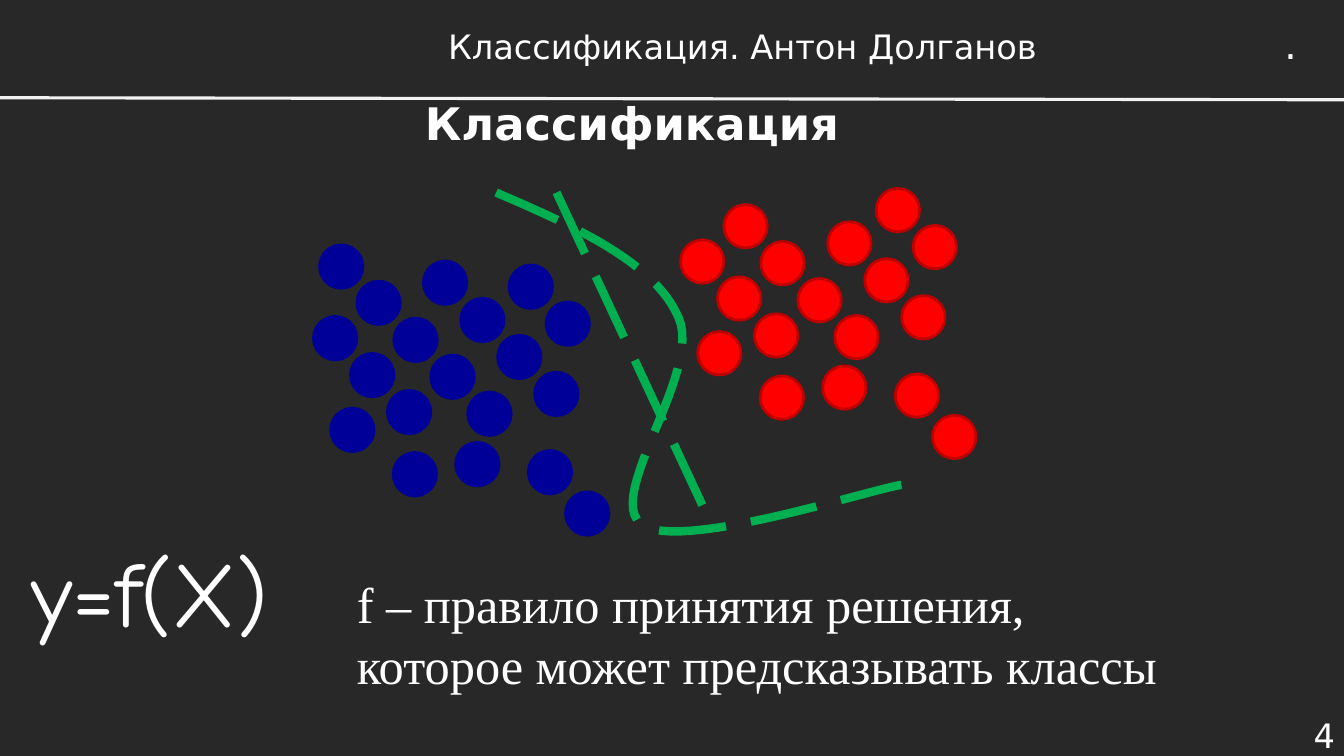
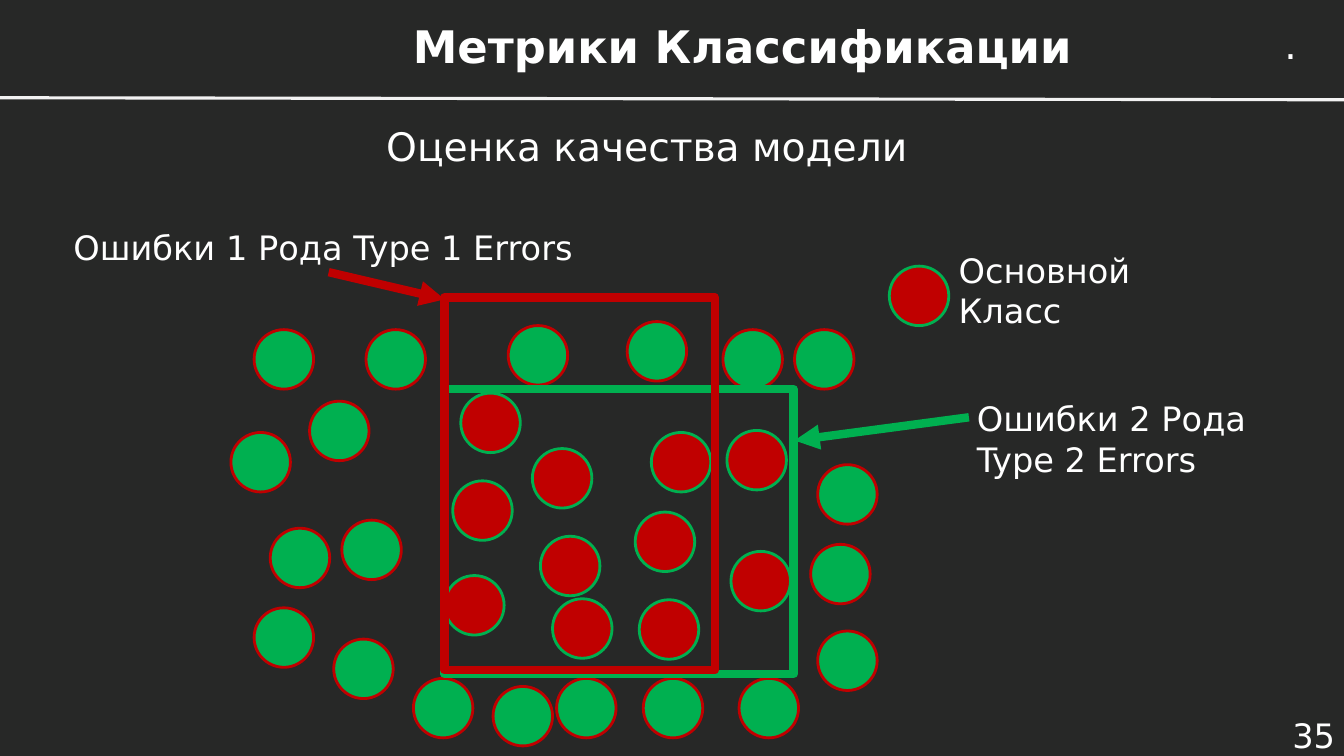
import pptx
import pptx.dml.color
import pptx.enum.dml
import pptx.enum.shapes
import pptx.enum.text
import pptx.oxml.ns
import pptx.util
from lxml import etree

RGBColor = pptx.dml.color.RGBColor
ALIGN = pptx.enum.text.PP_ALIGN
ANCHOR = pptx.enum.text.MSO_ANCHOR
SHAPES = pptx.enum.shapes.MSO_SHAPE
qn = pptx.oxml.ns.qn

BACKGROUND = RGBColor(0x27, 0x28, 0x27)
WHITE = RGBColor(0xFF, 0xFF, 0xFF)
RULE = RGBColor(0xF2, 0xF2, 0xF2)
GREEN = RGBColor(0x00, 0xB0, 0x50)
DARK_RED = RGBColor(0xC0, 0x00, 0x00)
RED = RGBColor(0xFF, 0x00, 0x00)
BLUE = RGBColor(0x00, 0x00, 0x98)

SANS = "DejaVu Sans"
SCALE = 9144
HEADER_BOX = (344, 19, 785, 53)
POINT_SIZE = 43
SAMPLE_SIZE = 59
DIAGONAL_STEP = 36.67
CURVE_STEPS = 24

SHARED_RUNS = [
    (43, 36, 4), (213, 204, 1), (250, 245, 1), (146, 53, 3), (0, 71, 3),
    (141, 196, 1), (17, 162, 1), (79, 206, 1), (194, 20, 2),
]
BLUE_RUNS = SHARED_RUNS + [(6, 0, 1), (109, 16, 1)]

NEGATIVES = [
    (23, 32), (0, 134), (134, 32), (78, 103), (39, 229), (23, 308), (110, 221),
    (102, 339), (181, 378), (260, 386), (323, 378), (409, 378), (275, 28),
    (393, 24), (559, 32), (575, 245), (582, 166), (504, 378), (582, 331), (488, 32),
]
POSITIVES = [
    (220, 182), (228, 95), (299, 150), (417, 134), (307, 237), (212, 276),
    (405, 300), (401, 213), (319, 299), (492, 132), (496, 252),
]


def px(length):
    """Turn px into EMU."""
    return pptx.util.Emu(round(length * SCALE))


def write(shape, lines, size, font=SANS, align=ALIGN.LEFT, anchor=ANCHOR.TOP, bold=False):
    """Fill a shape with one paragraph per line."""
    frame = shape.text_frame
    frame.word_wrap = True
    frame.auto_size = pptx.enum.text.MSO_AUTO_SIZE.NONE
    frame.vertical_anchor = anchor
    for index, line in enumerate(lines):
        paragraph = frame.add_paragraph() if index else frame.paragraphs[0]
        paragraph.alignment = align
        run = paragraph.add_run()
        run.text = line
        run.font.name = font
        run.font.size = pptx.util.Pt(size)
        run.font.bold = bold
        run.font.color.rgb = WHITE


def add_text(slide, box, lines, size, **style):
    """Add a text box."""
    write(slide.shapes.add_textbox(*map(px, box)), lines, size, **style)


def set_title(slide, box, text):
    """Move and format the title placeholder."""
    title = slide.shapes.title
    title.left, title.top, title.width, title.height = map(px, box)
    write(title, [text], 32, align=ALIGN.CENTER, anchor=ANCHOR.MIDDLE, bold=True)


def style_line(line, color, width, dashed=False):
    """Set colour, width and dash of a line."""
    line.color.rgb = color
    line.width = pptx.util.Pt(width)
    if dashed:
        line.dash_style = pptx.enum.dml.MSO_LINE.LONG_DASH


def add_line(slide, start, end, color, width, dashed=False, arrow=False):
    """Add a straight line, with an arrowhead at its end if asked."""
    connector = slide.shapes.add_connector(
        pptx.enum.shapes.MSO_CONNECTOR.STRAIGHT, *map(px, (*start, *end)))
    style_line(connector.line, color, width, dashed)
    properties = connector._element.spPr
    etree.SubElement(properties, qn("a:effectLst"))
    if arrow:
        etree.SubElement(properties.find(qn("a:ln")), qn("a:tailEnd"), type="triangle")


def add_outline(shapes, kind, box, fill, color, width):
    """Add a preset shape with an optional fill."""
    shape = shapes.add_shape(kind, *map(px, box))
    shape.shadow.inherit = False
    if fill is None:
        shape.fill.background()
    else:
        shape.fill.solid()
        shape.fill.fore_color.rgb = fill
    style_line(shape.line, color, width)


def add_circle(shapes, left, top, size, fill, color):
    """Add a filled circle."""
    add_outline(shapes, SHAPES.OVAL, (left, top, size, size), fill, color, 2)


def add_cloud(slide, left, top, runs, fill, color):
    """Add a group of points laid out in diagonal runs."""
    group = slide.shapes.add_group_shape()
    for x, y, count in runs:
        for index in range(count):
            shift = index * DIAGONAL_STEP
            add_circle(group.shapes, left + x + shift, top + y + shift,
                       POINT_SIZE, fill, color)


def bezier(points):
    """Sample a cubic curve after its start point."""
    for step in range(1, CURVE_STEPS + 1):
        t = step / CURVE_STEPS
        weights = ((1 - t) ** 3, 3 * t * (1 - t) ** 2, 3 * t * t * (1 - t), t ** 3)
        yield tuple(px(sum(w * point[axis] for w, point in zip(weights, points)))
                    for axis in (0, 1))


def add_boundaries(slide, left, top):
    """Add the straight and the curved decision boundary."""
    add_line(slide, (left + 60, top), (left + 212, top + 326), GREEN, 6, dashed=True)
    knots = [(left + x, top + y) for x, y in (
        (0, 0), (79, 34), (157, 69), (181, 124), (205, 178),
        (107, 301), (144, 329), (180, 357), (370, 295), (402, 290))]
    builder = slide.shapes.build_freeform(*map(px, knots[0]))
    for first in (0, 3, 6):
        builder.add_line_segments(list(bezier(knots[first:first + 4])), close=False)
    curve = builder.convert_to_shape()
    curve.shadow.inherit = False
    curve.fill.background()
    style_line(curve.line, GREEN, 6, dashed=True)


def add_samples(slide, left, top):
    """Add the samples with the frames of both kinds of error."""
    for places, fill, color in ((NEGATIVES, GREEN, DARK_RED), (POSITIVES, DARK_RED, GREEN)):
        for x, y in places:
            add_circle(slide.shapes, left + x, top + y, SAMPLE_SIZE, fill, color)
    for y, width, height, color in ((91, 346, 283, GREEN), (0, 268, 370, DARK_RED)):
        add_outline(slide.shapes, SHAPES.RECTANGLE,
                    (left + 212, top + y, width, height), None, color, 6)


def add_legend(slide, left, top):
    """Add the key of the main class."""
    add_circle(slide.shapes, left, top + 21, SAMPLE_SIZE, DARK_RED, GREEN)
    add_text(slide, (left + 59, top, 220, 91), ["Основной Класс"], 24)


def add_frame(presentation, number):
    """Add a slide with the rule, the dot and the number."""
    slide = presentation.slides.add_slide(presentation.slide_layouts[5])
    add_line(slide, (0, 97), (1333, 99), RULE, 2.25)
    add_text(slide, (1264, 15, 34, 57), ["."], 28)
    add_text(slide, (1229, 708, 105, 42), [number], 24,
             align=ALIGN.RIGHT, anchor=ANCHOR.MIDDLE)
    return slide


def build_classification(presentation):
    """Build the slide on the decision rule."""
    slide = add_frame(presentation, "4")
    set_title(slide, (194, 76, 866, 91), "Классификация")
    add_text(slide, HEADER_BOX, ["Классификация. Антон Долганов"], 24,
             align=ALIGN.CENTER, anchor=ANCHOR.MIDDLE)
    add_text(slide, (21, 526, 307, 121), ["y=f(X)"], 66, font="Comic Neue")
    add_text(slide, (344, 564, 835, 131),
             ["f – правило принятия решения, которое может предсказывать классы"],
             36, font="Times New Roman")
    add_boundaries(slide, 492, 191)
    add_cloud(slide, 675, 167, SHARED_RUNS, RED, DARK_RED)
    add_cloud(slide, 311, 243, BLUE_RUNS, BLUE, BLUE)


def build_metrics(presentation):
    """Build the slide on the two kinds of error."""
    slide = add_frame(presentation, "35")
    set_title(slide, HEADER_BOX, "Метрики Классификации")
    add_text(slide, (281, 99, 721, 91), ["Оценка качества модели"], 28,
             align=ALIGN.CENTER, anchor=ANCHOR.MIDDLE)
    add_legend(slide, 882, 243)
    add_text(slide, (63, 220, 525, 50), ["Ошибки 1 Рода Type 1 Errors"], 24)
    add_text(slide, (959, 390, 299, 91), ["Ошибки 2 Рода", "Type 2 Errors"], 24)
    add_line(slide, (326, 270), (441, 297), DARK_RED, 6, arrow=True)
    add_line(slide, (961, 414), (788, 437), GREEN, 6, arrow=True)
    add_samples(slide, 229, 295)


def main():
    """Build and save the presentation."""
    presentation = pptx.Presentation()
    presentation.slide_width = px(1333)
    presentation.slide_height = px(750)
    fill = presentation.slide_master.background.fill
    fill.solid()
    fill.fore_color.rgb = BACKGROUND
    build_classification(presentation)
    build_metrics(presentation)
    presentation.save("out.pptx")


if __name__ == "__main__":
    main()
